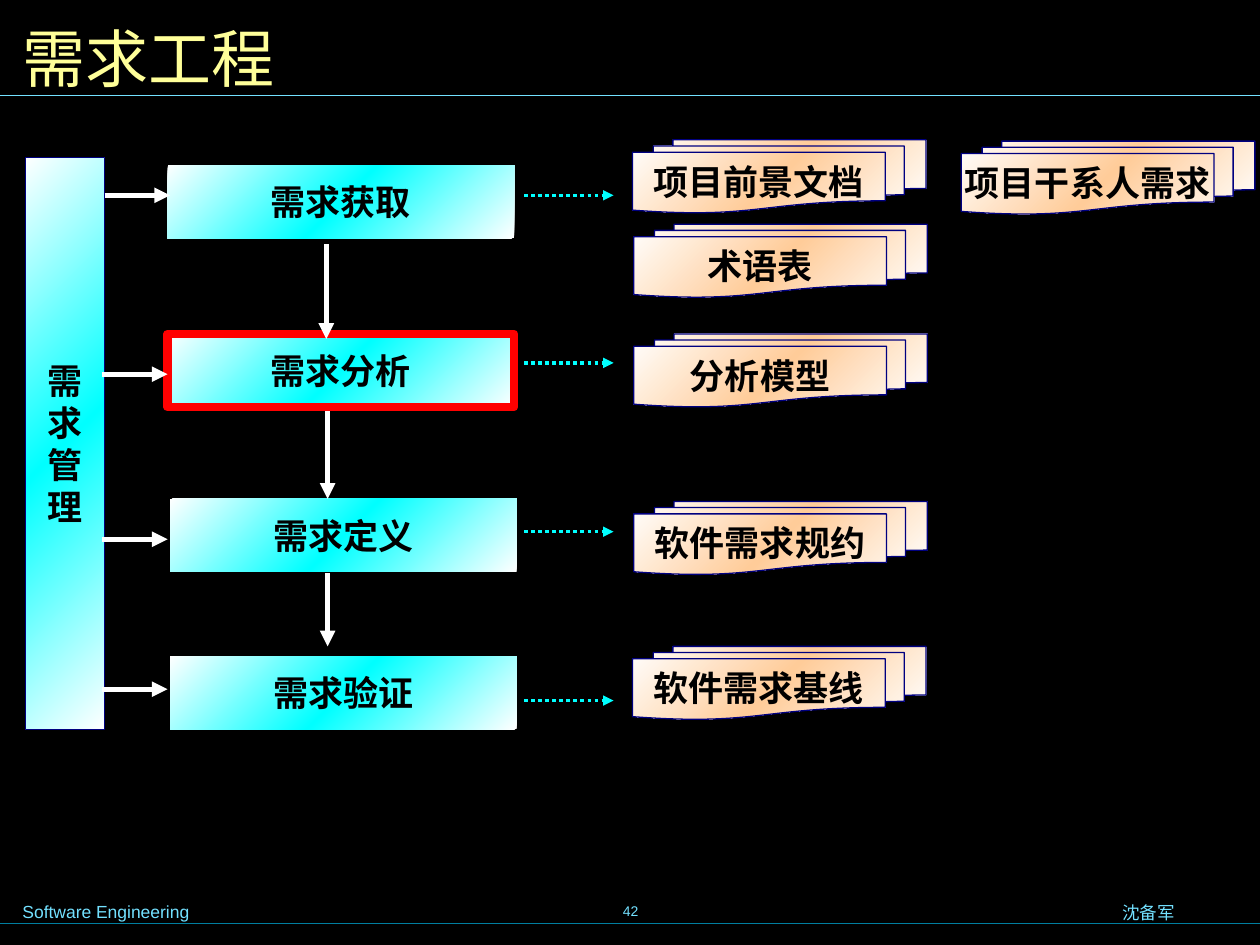
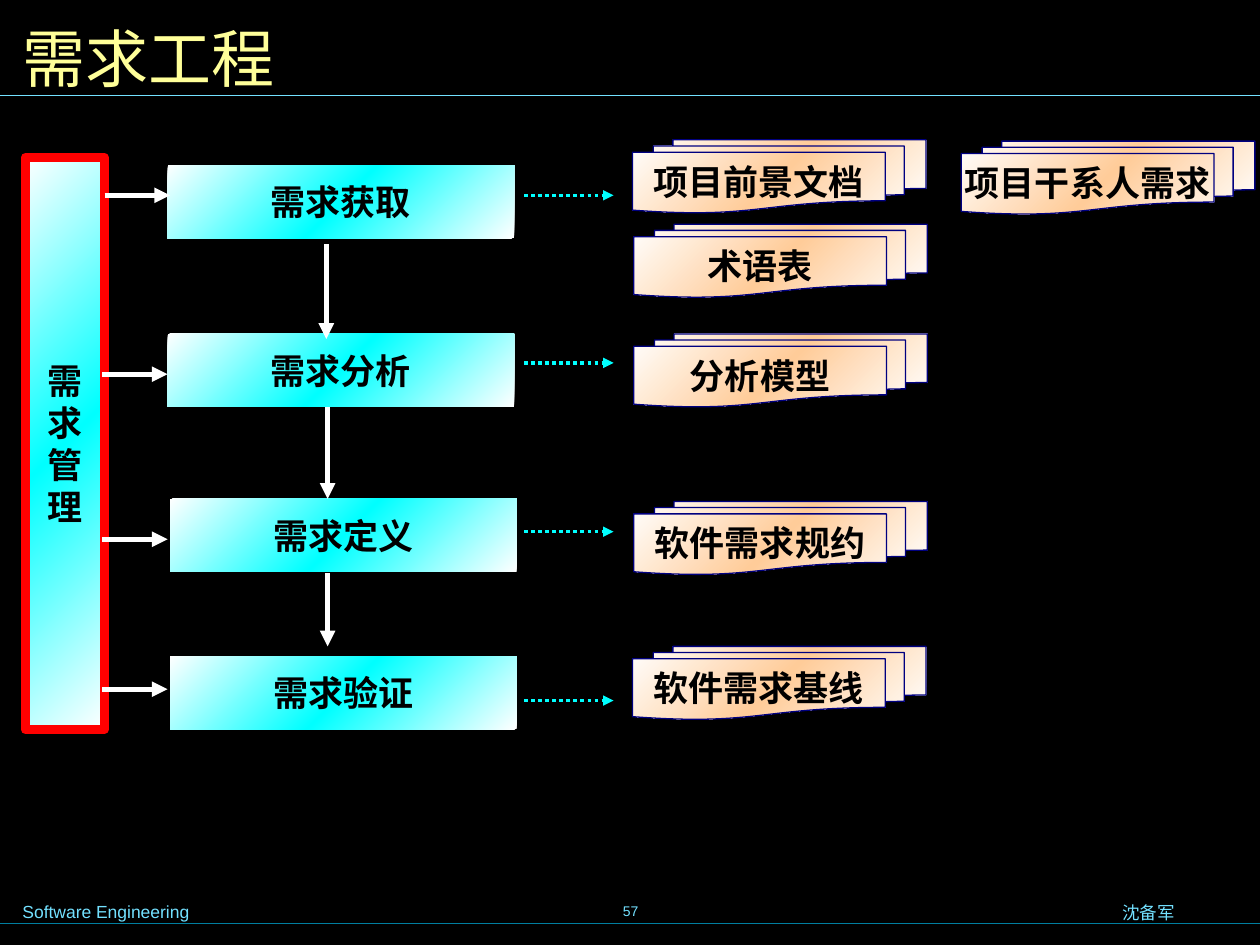
from copy import deepcopy

from lxml.etree import SubElement
from pptx import Presentation
from pptx.dml.color import RGBColor
from pptx.enum.dml import MSO_LINE as Dash
from pptx.enum.shapes import MSO_CONNECTOR as Connector, MSO_SHAPE as Shape
from pptx.enum.text import MSO_ANCHOR as Anchor, PP_ALIGN as Align
from pptx.oxml.ns import qn
from pptx.util import Inches, Pt

COLORS = {
    "background": "000000", "title": "FFFF99", "footer": "73E1FF", "footer_rule": "007E9F",
    "ink": "000000", "white": "FFFFFF", "cyan": "00FFFF", "peach": "FFCC99",
    "outline": "000080", "highlight": "FF0000",
}
TITLE = "需求工程"
COURSE = "Software Engineering"
AUTHOR = "沈备军"
MANAGEMENT = "需求管理"

# Page number and the activity framed in red
PAGES = [("42", "需求分析"), ("57", MANAGEMENT)]

# Activity, left, top, y of the arrow from management, y of the arrow to its documents
STAGES = [
    ("需求获取", 1.33, 1.31, 1.55, 1.55),
    ("需求分析", 1.33, 2.65, 2.97, 2.88),
    ("需求定义", 1.35, 3.96, 4.28, 4.22),
    ("需求验证", 1.35, 5.21, 5.47, 5.56),
]
# x, start y and end y of the arrow from each stage down to the next
STEPS = [(2.59, 1.94, 2.69), (2.6, 3.21, 3.96), (2.6, 4.55, 5.13)]

DOCUMENTS = [
    ("项目前景文档", 5.02, 1.11),
    ("项目干系人需求", 7.63, 1.12),
    ("术语表", 5.03, 1.78),
    ("分析模型", 5.03, 2.65),
    ("软件需求规约", 5.03, 3.98),
    ("软件需求基线", 5.02, 5.13),
]
STAGE_SIZE = (2.75, 0.58)
DOCUMENT_SIZE = (2.33, 0.58)
MANAGEMENT_PLACE = (0.2, 1.25, 0.63, 4.54)
MANAGEMENT_ARROW = 0.52
OUTPUT_ARROW = (4.16, 4.87)

LABEL = {"name": "Times New Roman", "size": Pt(20), "bold": True}
TITLE_FONT = {"name": "Arial Narrow", "size": Pt(36)}
FOOTER_FONT = {"name": "Arial", "size": Pt(10)}
NUMBER_FONT = {"name": "Arial", "size": Pt(8)}


def rgb(name):
    return RGBColor.from_string(COLORS[name])


def write(box, lines, font, color, align, anchor, margins, wrap):
    frame = box.text_frame
    x_margin, y_margin = (Inches(margin) for margin in margins)
    settings = {
        "word_wrap": wrap, "vertical_anchor": anchor,
        "margin_left": x_margin, "margin_right": x_margin,
        "margin_top": y_margin, "margin_bottom": y_margin,
    }
    for key, value in settings.items():
        setattr(frame, key, value)
    for index, line in enumerate(lines):
        para = frame.add_paragraph() if index else frame.paragraphs[0]
        para.alignment = align
        span = para.add_run()
        span.text = line
        for key, value in font.items():
            setattr(span.font, key, value)
        span.font.color.rgb = rgb(color)


def add_text(page, place, text, font, color="footer", align=Align.LEFT,
             anchor=Anchor.TOP, wrap=True):
    box = page.shapes.add_textbox(*map(Inches, place))
    write(box, [text], font, color, align, anchor, (0.1, 0.05), wrap)


def add_line(page, start, end, color, width, dash=None, arrow=False):
    line = page.shapes.add_connector(Connector.STRAIGHT, *map(Inches, (*start, *end)))
    line.line.color.rgb = rgb(color)
    line.line.width = Pt(width)
    if dash:
        line.line.dash_style = dash
    if arrow:
        SubElement(line.line._get_or_add_ln(), qn("a:tailEnd"), type="triangle")
    SubElement(line._element.spPr, qn("a:effectLst"))


def add_block(page, kind, place, lines, middle, outline=None, width=0.75):
    """Add a labelled shape with a diagonal white-middle-white gradient."""
    block = page.shapes.add_shape(kind, *map(Inches, place))
    block.shadow.inherit = False
    block.fill.gradient()
    block.fill.gradient_angle = 315
    stop_list = block._element.spPr.find(".//" + qn("a:gsLst"))
    stop_list.insert(1, deepcopy(stop_list[0]))
    colors = ("white", middle, "white")
    for stop, position, color in zip(block.fill.gradient_stops, (0, 0.5, 1), colors):
        stop.position = position
        stop.color.rgb = rgb(color)
    if outline:
        block.line.color.rgb = rgb(outline)
        block.line.width = Pt(width)
    else:
        block.line.fill.background()
    write(block, lines, LABEL, "ink", Align.CENTER, Anchor.MIDDLE, (0.12, 0.06), False)


def add_frame(page, number):
    """Add the background, title, rules and footer that every page has."""
    page.background.fill.solid()
    page.background.fill.fore_color.rgb = rgb("background")
    add_text(page, (3.42, 6.98, 3.17, 0.5), number, NUMBER_FONT,
             align=Align.CENTER, anchor=Anchor.MIDDLE, wrap=False)
    add_line(page, (0, 7.33), (10, 7.33), "footer_rule", 0.75)
    add_line(page, (0, 0.76), (10, 0.76), "footer", 0.75)
    add_text(page, (0.08, 7.1, 2.95, 0.27), COURSE, FOOTER_FONT)
    add_text(page, (8.19, 7.11, 1.85, 0.27), AUTHOR, FOOTER_FONT, align=Align.CENTER)
    add_text(page, (0.08, 0.08, 9.84, 0.75), TITLE, TITLE_FONT, "title", anchor=Anchor.MIDDLE)


def add_process(page, current):
    red_frame = ("highlight", 5)
    for name, left, top in DOCUMENTS:
        add_block(page, Shape.FLOWCHART_MULTIDOCUMENT, (left, top, *DOCUMENT_SIZE),
                  [name], "peach", "outline")

    # Bottom up, so each arrow tip lies over its stage and its start under the one above
    for (name, left, top, *_), step in reversed(list(zip(STAGES, [None, *STEPS]))):
        add_block(page, Shape.RECTANGLE, (left, top, *STAGE_SIZE), [name], "cyan",
                  *(red_frame if name == current else ()))
        if step:
            x, start, end = step
            add_line(page, (x, start), (x, end), "white", 3, arrow=True)

    add_block(page, Shape.RECTANGLE, MANAGEMENT_PLACE, list(MANAGEMENT), "cyan",
              *(red_frame if current == MANAGEMENT else ("outline",)))
    for _, left, _, entry_y, output_y in STAGES:
        entry_x = 0.83 if entry_y == STAGES[0][3] else 0.81
        add_line(page, (entry_x, entry_y), (entry_x + MANAGEMENT_ARROW, entry_y),
                 "white", 3, arrow=True)
        start, end = OUTPUT_ARROW
        add_line(page, (start, output_y), (end, output_y), "cyan", 2,
                 Dash.ROUND_DOT, arrow=True)


def main():
    deck = Presentation()
    deck.slide_width, deck.slide_height = Inches(10), Inches(7.5)
    for number, current in PAGES:
        page = deck.slides.add_slide(deck.slide_layouts[6])
        add_frame(page, number)
        add_process(page, current)
    deck.save("out.pptx")


if __name__ == "__main__":
    main()
